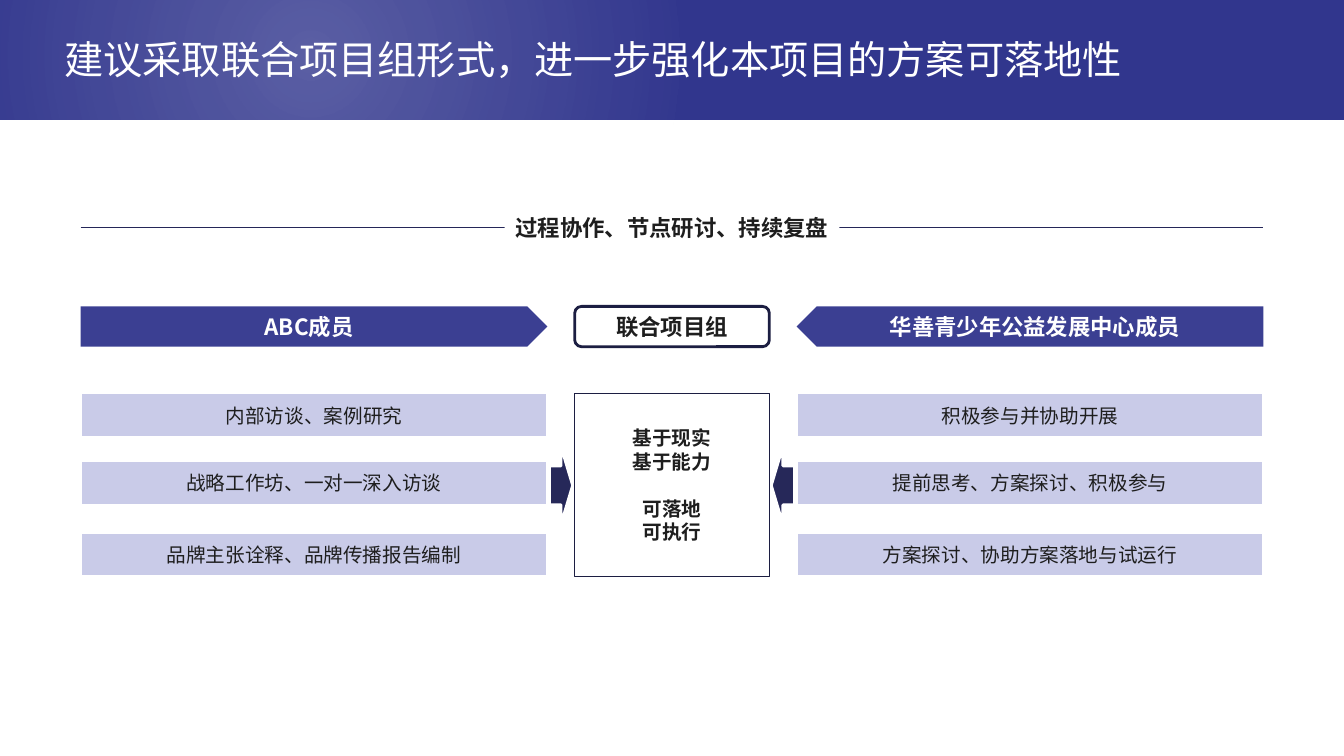
from lxml.etree import SubElement
from pptx import Presentation
from pptx.dml.color import RGBColor
from pptx.enum.shapes import MSO_CONNECTOR, MSO_SHAPE
from pptx.enum.text import MSO_ANCHOR, MSO_AUTO_SIZE, PP_ALIGN
from pptx.oxml import parse_xml
from pptx.oxml.ns import nsdecls, qn
from pptx.util import Inches, Pt


def color(hex_value):
    return RGBColor.from_string(hex_value)


class Deck:
    """Holds the style and the slide; lengths are percent of slide width and height."""

    font = "Noto Sans CJK SC"
    ink, white = "1E1E1E", "FFFFFF"
    indigo, lavender, navy, outline = "3B3F92", "C9CBE8", "262859", "1C1E42"

    def __init__(self):
        self.deck = Presentation()
        self.deck.slide_width, self.deck.slide_height = Inches(13.33), Inches(7.5)
        self.slide = self.deck.slides.add_slide(self.deck.slide_layouts[5])

    def across(self, share):
        return round(self.deck.slide_width * share / 100)

    def down(self, share):
        return round(self.deck.slide_height * share / 100)

    def frame(self, left, top, width, height):
        return self.across(left), self.down(top), self.across(width), self.down(height)

    def put_text(self, target, lines, size, ink, bold=False, align=PP_ALIGN.CENTER,
                 anchor=MSO_ANCHOR.MIDDLE):
        text = target.text_frame
        text.word_wrap = True
        text.vertical_anchor = anchor
        text.text = "\n".join(lines)
        for paragraph in text.paragraphs:
            paragraph.alignment = align
            font = paragraph.font
            font.name, font.size, font.bold = self.font, Pt(size), bold
            font.color.rgb = color(ink)
            defaults = paragraph._p.pPr.find(qn("a:defRPr"))
            SubElement(defaults, qn("a:ea")).set("typeface", self.font)
        return text

    def shape(self, kind, box, fill=None, line=None, weight=2, flip=False):
        block = self.slide.shapes.add_shape(kind, *self.frame(*box))
        block.shadow.inherit = False
        if fill:
            block.fill.solid()
            block.fill.fore_color.rgb = color(fill)
        else:
            block.fill.background()
        if line:
            block.line.color.rgb = color(line)
            block.line.width = Pt(weight)
        else:
            block.line.fill.background()
        if flip:
            block.element.spPr.find(qn("a:xfrm")).set("flipH", "1")
        return block

    def glow(self, box):
        properties = self.shape(MSO_SHAPE.RECTANGLE, box).element.spPr
        stops = "".join(
            f'<a:gs pos="{position}"><a:srgbClr val="{self.white}">'
            f'<a:alpha val="{alpha}"/></a:srgbClr></a:gs>'
            for position, alpha in ((0, 20000), (66000, 0)))
        gradient = parse_xml(
            f'<a:gradFill {nsdecls("a")} rotWithShape="1"><a:gsLst>{stops}</a:gsLst>'
            '<a:path path="circle"><a:fillToRect l="50000" t="50000" r="50000" b="50000"/>'
            '</a:path></a:gradFill>')
        properties.replace(properties.find(qn("a:noFill")), gradient)

    def title(self, words, box):
        heading = self.slide.shapes.title
        self.slide.shapes.element.append(heading.element)
        heading.left, heading.top, heading.width, heading.height = self.frame(*box)
        text = self.put_text(heading, [words], 28, self.white, align=PP_ALIGN.LEFT)
        text.paragraphs[0].line_spacing = 0.9

    def rule(self, left, right, top):
        line = self.slide.shapes.add_connector(
            MSO_CONNECTOR.STRAIGHT, self.across(left), self.down(top),
            self.across(right), self.down(top))
        line.line.color.rgb = color("242658")
        line.line.width = Pt(0.75)
        SubElement(line.element.spPr, qn("a:effectLst"))

    def label(self, words, box):
        caption = self.shape(MSO_SHAPE.RECTANGLE, box, self.white)
        text = self.put_text(caption, [words], 16, self.ink, True, anchor=MSO_ANCHOR.TOP)
        text.word_wrap = False
        text.auto_size = MSO_AUTO_SIZE.SHAPE_TO_FIT_TEXT


def main():
    page = Deck()
    margin, side_width = 6, 34.73
    center, center_width = 42.76, 14.48
    arrow_left, arrow_width = 40.88, 1.73
    header_top, header_height = 40.53, 5.33
    task_tops, task_height = (52, 60.93, 70.4), 5.87
    sides = (
        (margin, arrow_left, MSO_SHAPE.RIGHT_ARROW, False, "ABC成员",
         ("内部访谈、案例研究", "战略工作坊、一对一深入访谈", "品牌主张诠释、品牌传播报告编制")),
        (100 - margin - side_width, 100 - arrow_left - arrow_width, MSO_SHAPE.LEFT_ARROW, True,
         "华善青少年公益发展中心成员",
         ("积极参与并协助开展", "提前思考、方案探讨、积极参与", "方案探讨、协助方案落地与试运行")),
    )

    page.shape(MSO_SHAPE.RECTANGLE, (0, 0, 100, 15.87), "31368D")
    page.glow((-18.53, -2.27, 83.27, 19.2))
    page.title("建议采取联合项目组形式，进一步强化本项目的方案可落地性", (4.05, 4.67, 92.42, 6.93))

    page.rule(margin, 100 - margin, 30.13)
    page.label("过程协作、节点研讨、持续复盘", (37.55, 27.73, 24.9, 4.93))

    for left, arrow_start, arrow, flip, members, tasks in sides:
        banner = page.shape(MSO_SHAPE.PENTAGON, (left, header_top, side_width, header_height),
                            page.indigo, flip=flip)
        page.put_text(banner, [members], 16, page.white, True)
        for top, task in zip(task_tops, tasks):
            bar = page.shape(MSO_SHAPE.RECTANGLE, (left, top, side_width, task_height),
                             page.lavender, page.white)
            page.put_text(bar, [task], 14, page.ink)
        page.shape(arrow, (arrow_start, 59.07, arrow_width, 10.27), page.navy, page.white)

    team = page.shape(MSO_SHAPE.ROUNDED_RECTANGLE,
                      (center, header_top, center_width, header_height), line=page.outline)
    page.put_text(team, ["联合项目组"], 16, page.ink, True)

    goals_height = task_tops[-1] + task_height - task_tops[0]
    goals = page.shape(MSO_SHAPE.RECTANGLE, (center, task_tops[0], center_width, goals_height),
                       line=page.outline, weight=0.5)
    principles = page.put_text(goals, ["基于现实", "基于能力", "可落地", "可执行"], 14, page.ink, True)
    principles.paragraphs[2].space_before = Pt(17)

    page.deck.save("out.pptx")


if __name__ == "__main__":
    main()
